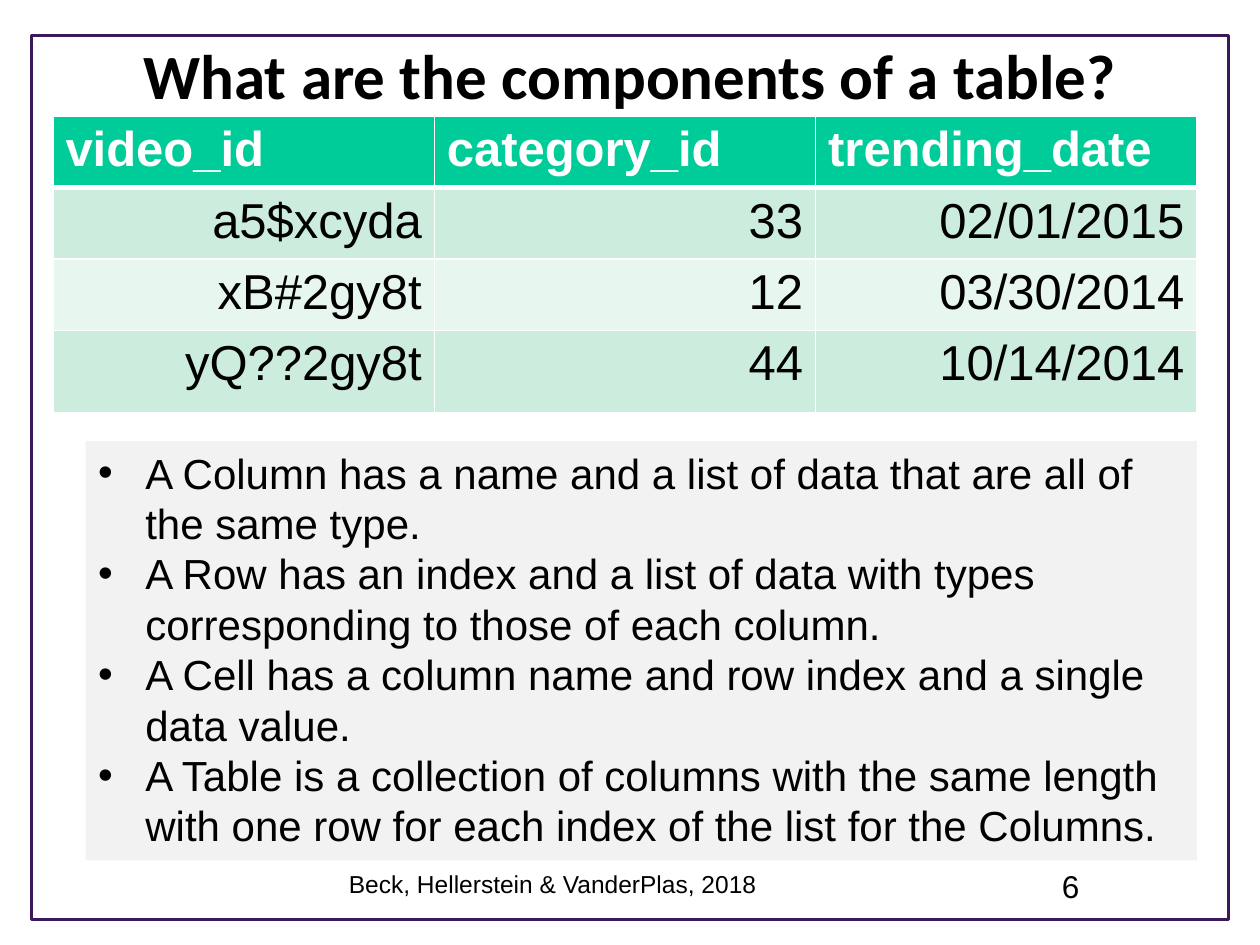
import pptx
import pptx.util
import pptx.dml.color
import pptx.enum.shapes
import pptx.enum.text
import pptx.oxml
import pptx.oxml.ns

Pt = pptx.util.Pt
RGB = pptx.dml.color.RGBColor.from_string
ALIGN = pptx.enum.text.PP_ALIGN
ANCHOR = pptx.enum.text.MSO_ANCHOR
RECTANGLE = pptx.enum.shapes.MSO_SHAPE.RECTANGLE

theme = {
    "ink": "000000",
    "white": "FFFFFF",
    "frame": "3B185A",
    "panel": "F2F2F2",
    "header": "00CC99",
    "bands": ["E7F6EF", "CCECDE"],
    "title": {"name": "Calibri", "size": Pt(36), "bold": True},
    "head": {"name": "Arial", "size": Pt(28), "bold": True},
    "cell": {"name": "Arial", "size": Pt(28), "bold": False},
    "body": {"name": "Arial", "size": Pt(24)},
    "credit": {"name": "Arial", "size": Pt(14)},
    "number": {"name": "Arial", "size": Pt(18)},
}

deck = pptx.Presentation()
deck.slide_width = pptx.util.Inches(10)
deck.slide_height = pptx.util.Inches(7.5)
page = deck.slides.add_slide(deck.slide_layouts[6])
column = deck.slide_width / 100
row = deck.slide_height / 75


def place(left, top, width, height):
    return [round(left * column), round(top * row), round(width * column), round(height * row)]


def write(para, text, style, color=theme["ink"], align=ALIGN.LEFT):
    para.alignment = align
    span = para.add_run()
    span.text = text
    for name, value in theme[style].items():
        setattr(span.font, name, value)
    span.font.color.rgb = RGB(color)


border = page.shapes.add_shape(RECTANGLE, *place(2.5, 2.8, 95, 70.2))
border.shadow.inherit = False
border.fill.background()
border.line.color.rgb = RGB(theme["frame"])
border.line.width = Pt(1.75)

labels = [
    ("What are the components of a table?", "title", place(5, 2, 90, 7.8), ALIGN.CENTER, ANCHOR.MIDDLE),
    ("Beck, Hellerstein & VanderPlas, 2018", "credit", place(26.7, 68.5, 39.2, 4), ALIGN.LEFT, ANCHOR.TOP),
    ("6", "number", place(83.3, 68.3, 5.8, 4), ALIGN.LEFT, ANCHOR.TOP),
]
for text, style, area, align, anchor in labels:
    box = page.shapes.add_textbox(*area)
    box.text_frame.word_wrap = True
    box.text_frame.vertical_anchor = anchor
    write(box.text_frame.paragraphs[0], text, style, align=align)

records = [
    ["video_id", "category_id", "trending_date"],
    ["a5$xcyda", "33", "02/01/2015"],
    ["xB#2gy8t", "12", "03/30/2014"],
    ["yQ??2gy8t", "44", "10/14/2014"],
]
heights = [4.8, 4.8, 4.8, 6.5]
grid = page.shapes.add_table(len(records), len(records[0]), *place(4.2, 9.2, 90.8, sum(heights))).table
for line, height in zip(grid.rows, heights):
    line.height = round(height * row)

for index, record in enumerate(records):
    header = index == 0
    for position, text in enumerate(record):
        cell = grid.cell(index, position)
        write(
            cell.text_frame.paragraphs[0],
            text,
            "head" if header else "cell",
            theme["white"] if header else theme["ink"],
            ALIGN.LEFT if header else ALIGN.RIGHT,
        )
        edges = {"lnL": 1, "lnR": 1, "lnT": 3 if index == 1 else 1, "lnB": 3 if header else 1}
        for edge, width in edges.items():
            cell._tc.get_or_add_tcPr().append(pptx.oxml.parse_xml(
                f'<a:{edge} {pptx.oxml.ns.nsdecls("a")} w="{Pt(width)}"><a:solidFill>'
                f'<a:srgbClr val="{theme["white"]}"/></a:solidFill></a:{edge}>'
            ))
        cell.fill.solid()
        cell.fill.fore_color.rgb = RGB(theme["header"] if header else theme["bands"][index % 2])

definitions = [
    "A Column has a name and a list of data that are all of the same type.",
    "A Row has an index and a list of data with types corresponding to those of each column.",
    "A Cell has a column name and row index and a single data value.",
    "A Table is a collection of columns with the same length with one row for each index of the list for the Columns.",
]
panel = page.shapes.add_shape(RECTANGLE, *place(6.8, 35, 88.2, 33.3))
panel.shadow.inherit = False
panel.fill.solid()
panel.fill.fore_color.rgb = RGB(theme["panel"])
panel.line.fill.background()
panel.text_frame.word_wrap = True
panel.text_frame.vertical_anchor = ANCHOR.TOP
indent = round(3.75 * column)
for index, text in enumerate(definitions):
    para = panel.text_frame.add_paragraph() if index else panel.text_frame.paragraphs[0]
    write(para, text, "body")
    layout = para._p.get_or_add_pPr()
    layout.set("marL", str(indent))
    layout.set("indent", str(-indent))
    for tag in ('buFont {} typeface="Arial"', 'buChar {} char="•"'):
        layout.append(pptx.oxml.parse_xml(f'<a:{tag.format(pptx.oxml.ns.nsdecls("a"))}/>'))

deck.save("out.pptx")
